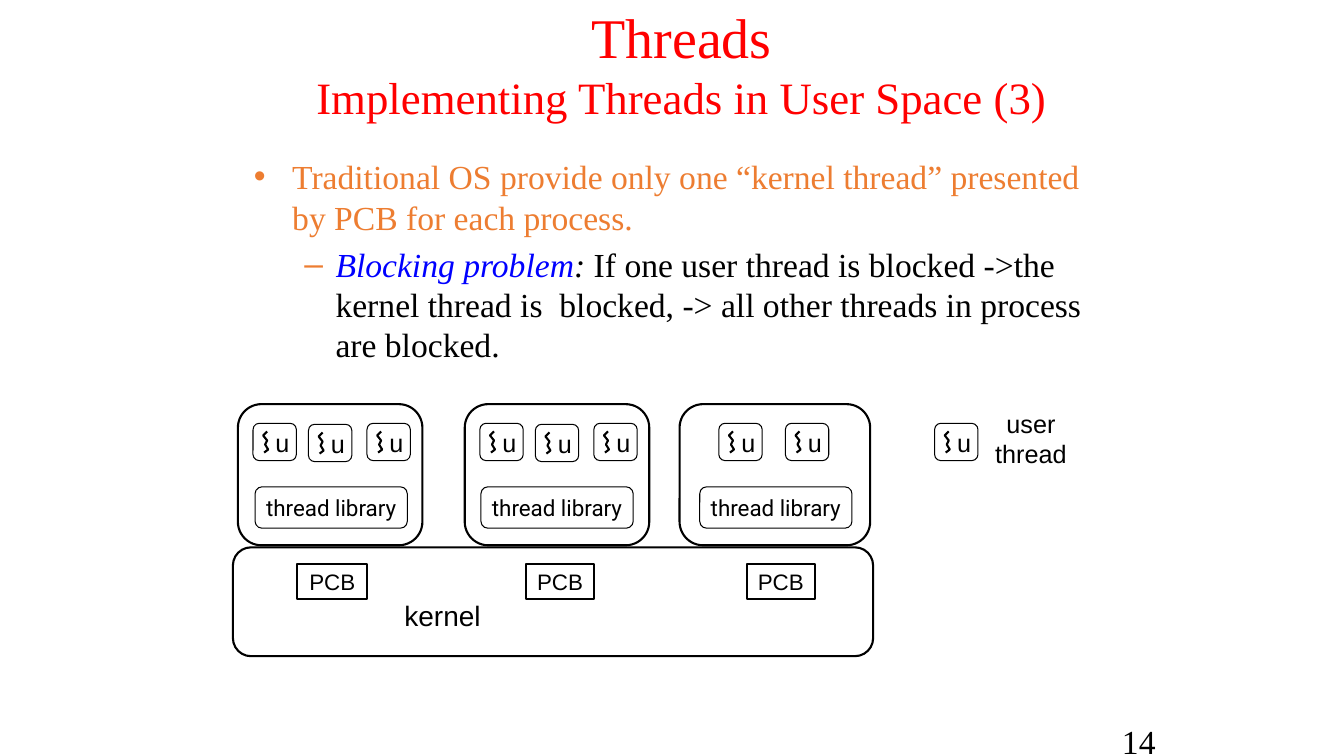
import pptx
import pptx.util
import pptx.dml.color
import pptx.enum.shapes
import pptx.enum.text
import pptx.oxml
from pptx.oxml.ns import nsdecls
from pptx.util import Inches

# Content
HEAD = [("Threads", 40), ("Implementing Threads in User Space (3)", 32)]
# text, colour, italic
POINTS = [
    {"mark": "•", "left": 0.38, "hang": 0.38, "gap": 0, "runs": [
        ("Traditional OS provide only one “kernel thread” presented by PCB for each process.",
         "orange", False)]},
    {"mark": "–", "left": 0.81, "hang": 0.31, "gap": 4.8, "runs": [
        ("Blocking problem", "blue", True),
        (":", "black", True),
        (" If one user thread is blocked ->the kernel thread is  blocked, -> all other threads"
         " in process are blocked.", "black", False)]},
]
# left and width of each process, its library, its threads, its PCB
TASKS = [
    {"box": (2.36, 1.83), "lib": 2.53, "users": [(2.51, 4.2), (3.06, 4.21), (3.64, 4.2)],
     "pcb": (2.95, 0.69)},
    {"box": (4.61, 1.83), "lib": 4.77, "users": [(4.76, 4.2), (5.31, 4.21), (5.89, 4.2)],
     "pcb": (5.22, 0.67)},
    {"box": (6.74, 1.89), "lib": 6.94, "users": [(7.13, 4.2), (7.79, 4.2)],
     "pcb": (7.41, 0.67)},
]
KEY = (9.27, 4.2)
WAVE = [(0.14, 0.08), (0.1, 0.12), (0.14, 0.17), (0.12, 0.21), (0.15, 0.26), (0.11, 0.29)]
COLORS = {"red": "FF0000", "orange": "ED7D31", "blue": "0000FF",
          "black": "000000", "white": "FFFFFF"}
SERIF, SANS = "Times New Roman", "Arial"
ALIGN = pptx.enum.text.PP_ALIGN
ANCHOR = pptx.enum.text.MSO_ANCHOR
SHAPE = pptx.enum.shapes.MSO_SHAPE


def rgb(name):
    return pptx.dml.color.RGBColor.from_string(COLORS[name])


def style(run, size, face, color="black", italic=False):
    run.font.size = pptx.util.Pt(size)
    run.font.name = face
    run.font.color.rgb = rgb(color)
    run.font.italic = italic


def outline(shape, width, fill=None):
    shape.shadow.inherit = False
    shape.line.color.rgb = rgb("black")
    shape.line.width = pptx.util.Pt(width)
    if fill:
        shape.fill.solid()
        shape.fill.fore_color.rgb = rgb(fill)
    else:
        shape.fill.background()


def write(shape, text, size, face=SANS, align=ALIGN.CENTER, inset=0.1, anchor=ANCHOR.MIDDLE):
    frame = shape.text_frame
    frame.word_wrap = True
    frame.vertical_anchor = anchor
    frame.margin_left = frame.margin_right = Inches(inset)
    frame.margin_top = frame.margin_bottom = Inches(0.05)
    frame.text = text
    for para in frame.paragraphs:
        para.alignment = align
        for run in para.runs:
            style(run, size, face)


def box(shapes, kind, area, width, fill=None):
    shape = shapes.add_shape(kind, *map(Inches, area))
    outline(shape, width, fill)
    return shape


def label(area, text, size, face=SANS, align=ALIGN.CENTER):
    shape = slide.shapes.add_textbox(*map(Inches, area))
    write(shape, text, size, face, align, anchor=ANCHOR.TOP)


def thread(left, top):
    """A small box with a wavy thread and the letter u."""
    group = slide.shapes.add_group_shape()
    card = box(group.shapes, SHAPE.ROUNDED_RECTANGLE, (left, top, 0.43, 0.37), 0.75)
    write(card, "u", 18, align=ALIGN.RIGHT, inset=0.05)
    spots = [(Inches(left + x), Inches(top + y)) for x, y in WAVE]
    pen = group.shapes.build_freeform(*spots[0])
    pen.add_line_segments(spots[1:], close=False)
    outline(pen.convert_to_shape(), 1.5)


deck = pptx.Presentation()
deck.slide_width, deck.slide_height = Inches(13.33), Inches(7.5)
slide = deck.slides.add_slide(deck.slide_layouts[5])

# Title and page number
title = slide.shapes.title
title.left, title.top, title.width, title.height = map(Inches, (2.51, 0, 8.5, 1.25))
title.text_frame.text = "\v".join(text for text, size in HEAD)
title.text_frame.auto_size = pptx.enum.text.MSO_AUTO_SIZE.NONE
title.text_frame.vertical_anchor = ANCHOR.MIDDLE
title.text_frame.paragraphs[0].alignment = ALIGN.CENTER
for run, (text, size) in zip(title.text_frame.paragraphs[0].runs, HEAD):
    style(run, size, SERIF, "red")
label((11.03, 7.1, 0.54, 0.4), "14", 24, SERIF, ALIGN.LEFT)

# Processes with library and user threads
for task in TASKS:
    left, width = task["box"]
    box(slide.shapes, SHAPE.ROUNDED_RECTANGLE, (left, 4.01, width, 1.4), 1.5)
    lib = box(slide.shapes, SHAPE.ROUNDED_RECTANGLE, (task["lib"], 4.83, 1.51, 0.41), 0.75, "white")
    write(lib, "thread library", 16, "Roboto", inset=0.05)
    for user in task["users"]:
        thread(*user)

# Key
thread(*KEY)
label((9.64, 4, 1.17, 0.7), "user\nthread", 18)

# Kernel
box(slide.shapes, SHAPE.ROUNDED_RECTANGLE, (2.31, 5.43, 6.35, 1.08), 1.5)
label((3.91, 5.89, 0.96, 0.43), "kernel", 20)
for task in TASKS:
    left, width = task["pcb"]
    pcb = box(slide.shapes, SHAPE.RECTANGLE, (left, 5.6, width, 0.34), 1.5)
    write(pcb, "PCB", 16)

# Body text
body = slide.shapes.add_textbox(*map(Inches, (2.42, 1.5, 8.5, 5.17)))
body.text_frame.word_wrap = True
for rank, point in enumerate(POINTS):
    para = body.text_frame.paragraphs[0] if rank == 0 else body.text_frame.add_paragraph()
    para.level = rank
    para.space_before = pptx.util.Pt(point["gap"])
    for text, color, italic in point["runs"]:
        run = para.add_run()
        run.text = text
        style(run, 24, SERIF, color, italic)
    props = para._p.get_or_add_pPr()
    props.set("marL", str(Inches(point["left"])))
    props.set("indent", str(-Inches(point["hang"])))
    for xml in (f'<a:buClr {nsdecls("a")}><a:srgbClr val="{COLORS["orange"]}"/></a:buClr>',
                f'<a:buFont {nsdecls("a")} typeface="{SANS}"/>',
                f'<a:buChar {nsdecls("a")} char="{point["mark"]}"/>'):
        props.append(pptx.oxml.parse_xml(xml))

deck.save("out.pptx")
